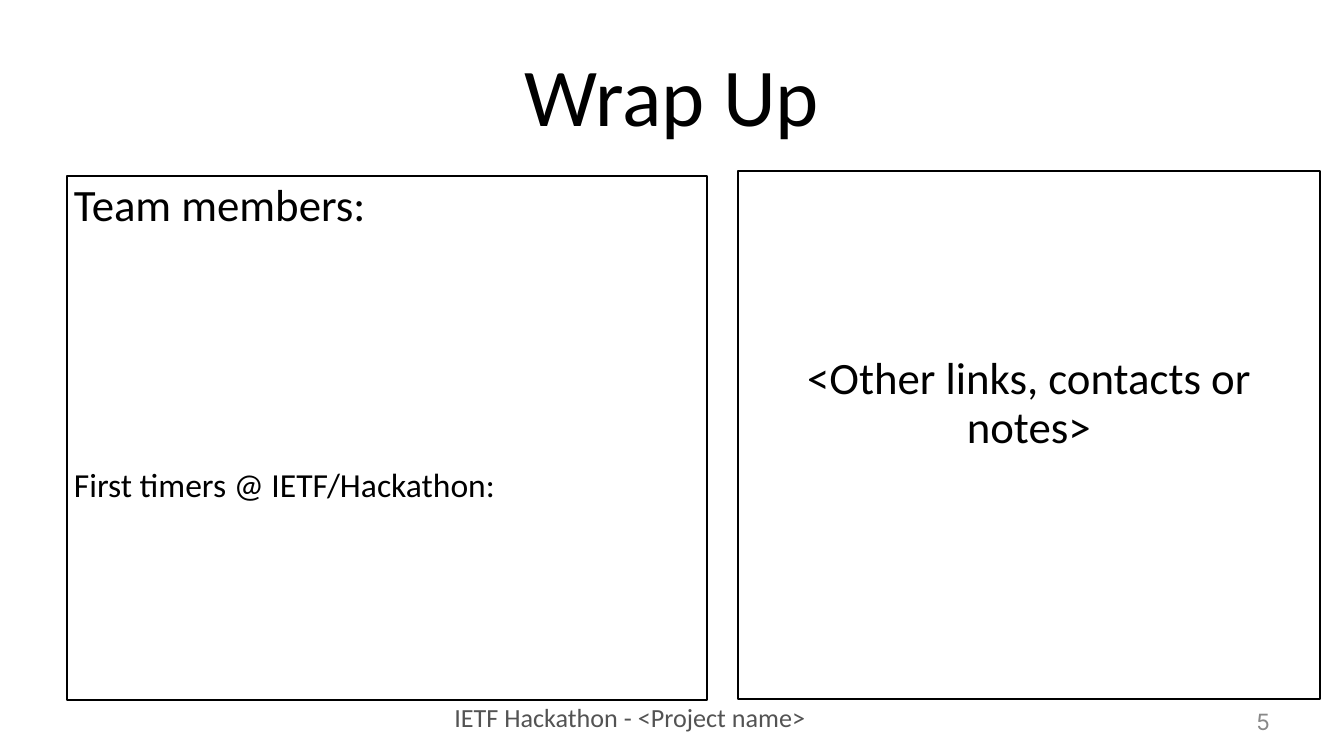
from lxml import etree
from pptx import Presentation
from pptx.dml.color import RGBColor
from pptx.enum.text import MSO_ANCHOR, MSO_AUTO_SIZE, PP_ALIGN
from pptx.oxml.ns import qn
from pptx.util import Inches, Pt

LEFT, CENTER, RIGHT = PP_ALIGN.LEFT, PP_ALIGN.CENTER, PP_ALIGN.RIGHT
TOP, MIDDLE = MSO_ANCHOR.TOP, MSO_ANCHOR.MIDDLE
NO_FIT = MSO_AUTO_SIZE.NONE
COLORS = {"text": "000000", "footer": "535353", "number": "888888"}
INSET = 0.05


def place(sp, box, anchor=TOP, wrap=True, top_inset=INSET):
    """Move a shape to its box (inches) and set up its text frame."""
    sp.left, sp.top, sp.width, sp.height = [Inches(v) for v in box]
    tf = sp.text_frame
    tf.auto_size = NO_FIT
    tf.word_wrap = wrap
    tf.vertical_anchor = anchor
    tf.margin_left = tf.margin_right = tf.margin_bottom = Inches(INSET)
    tf.margin_top = Inches(top_inset)
    return tf


def style(p, size, color="text", font="Calibri", align=LEFT):
    """Format a paragraph and its runs."""
    p.alignment = align
    for r in p.runs:
        r.font.size = Pt(size)
        r.font.name = font
        r.font.color.rgb = RGBColor.from_string(COLORS[color])


def outline(sp):
    """Draw the thin black frame of a panel."""
    sp.line.color.rgb = RGBColor.from_string(COLORS["text"])
    sp.line.width = Pt(1)


def add_title(s, box):
    """Fill the title placeholder."""
    tf = place(s.shapes.title, box, MIDDLE)
    tf.text = "Wrap Up"
    style(tf.paragraphs[0], 44, align=CENTER)


def add_team_panel(s, box):
    """Fill the body placeholder with the two team headings."""
    sp = s.placeholders[1]
    outline(sp)
    tf = place(sp, box)
    headings = [("Team members:", 24, 0), ("First timers @ IETF/Hackathon:", 18, 127)]
    tf.text = "\n".join(text for text, _, _ in headings)
    for p, (_, size, gap) in zip(tf.paragraphs, headings):
        style(p, size)
        p.line_spacing = 0.9
        p.space_before = Pt(gap)
        pPr = p._p.get_or_add_pPr()
        pPr.set("marL", "0")
        pPr.set("indent", "0")
        etree.SubElement(pPr, qn("a:buNone"))


def add_text(s, box, text, size, top_inset=INSET, anchor=TOP, wrap=True, **look):
    """Add a text box holding one paragraph."""
    sp = s.shapes.add_textbox(0, 0, 0, 0)
    tf = place(sp, box, anchor, wrap, top_inset)
    tf.text = text
    style(tf.paragraphs[0], size, **look)
    return sp


def add_notes_panel(s, box):
    """Add the framed panel for links, contacts and notes."""
    sp = add_text(s, box, "<Other links, contacts or notes>", 24,
                  top_inset=1.38, align=CENTER)
    outline(sp)
    sp.text_frame.paragraphs[0].line_spacing = 0.9


def add_footer(s, footer_box, number_box):
    """Add the footer line and the slide number."""
    add_text(s, footer_box, "IETF Hackathon - <Project name>", 14,
             wrap=False, color="footer")
    add_text(s, number_box, "5", 12, anchor=MIDDLE, wrap=False,
             color="number", font="Inter", align=RIGHT)


prs = Presentation()
prs.slide_width = Inches(10)
prs.slide_height = prs.slide_width * 9 // 16
s = prs.slides.add_slide(prs.slide_layouts[1])
add_title(s, (0.5, 0.23, 9, 0.94))
add_team_panel(s, (0.5, 1.31, 4.76, 3.9))
add_notes_panel(s, (5.49, 1.27, 4.33, 3.93))
add_footer(s, (3.33, 5.17, 3.02, 0.32), (9.3, 5.22, 0.2, 0.29))
prs.save("out.pptx")
